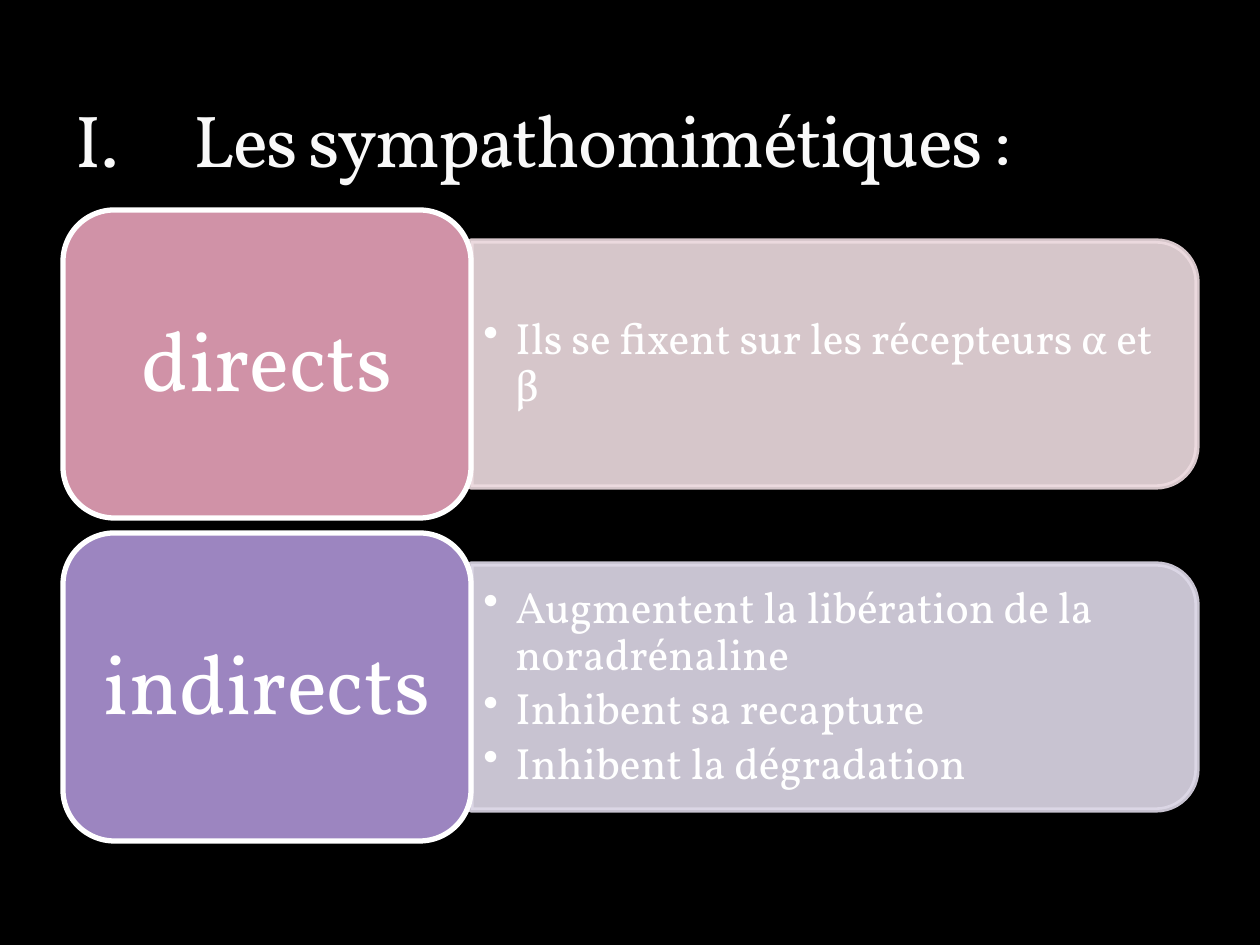
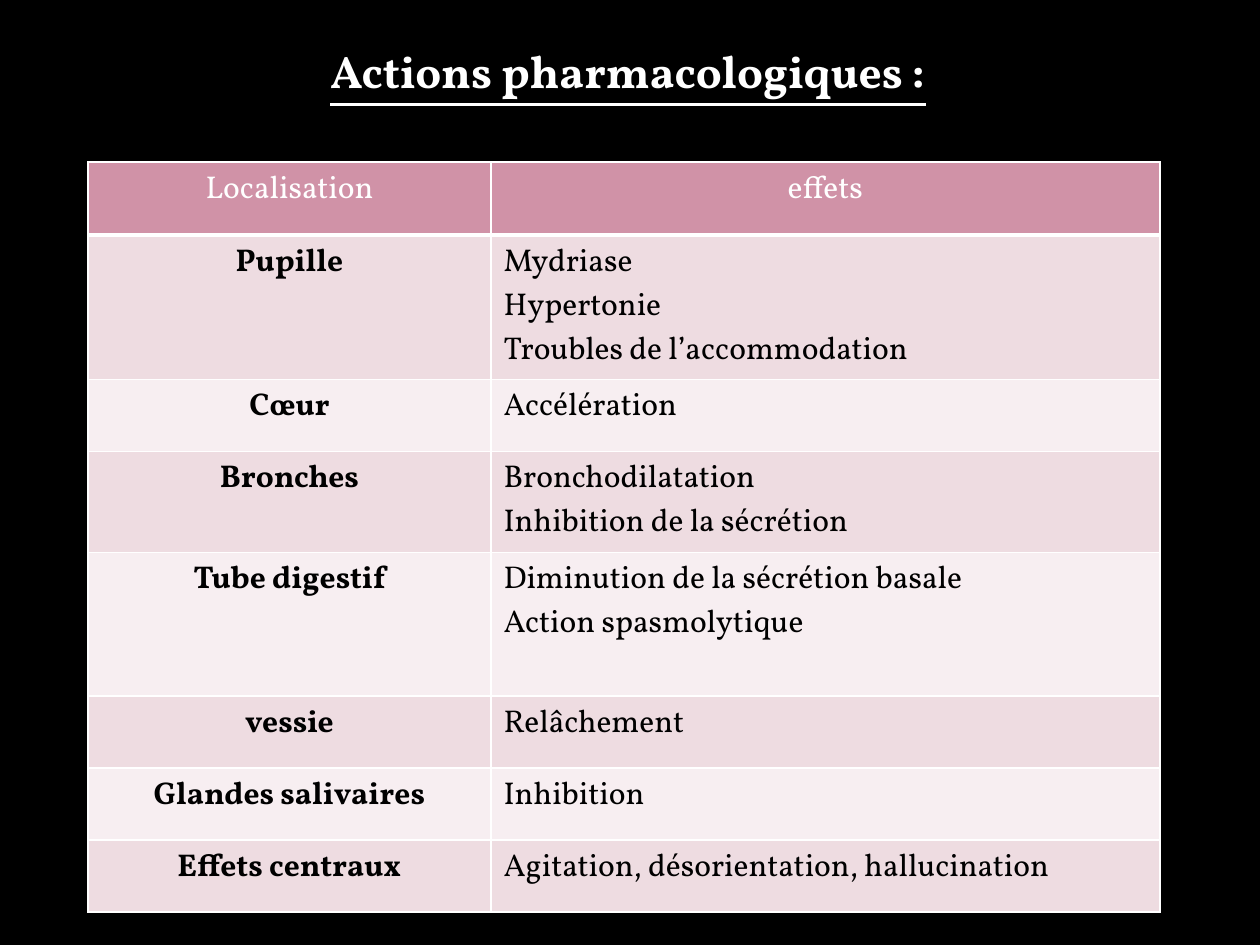
from lxml.etree import SubElement
from pptx import Presentation
from pptx.dml.color import RGBColor
from pptx.enum.shapes import MSO_SHAPE
from pptx.enum.text import MSO_ANCHOR, MSO_AUTO_SIZE, PP_ALIGN
from pptx.oxml.ns import qn
from pptx.util import Pt

EMU_PER_PX = 914400 // 126
FONT = "Vollkorn"
BLACK, WHITE, TITLE_WHITE = "000000", "FFFFFF", "F9F9F9"
ROSE, ROSE_LIGHT, ROSE_PALE = "D092A7", "EEDCE1", "F7EEF1"
VIOLET, VIOLET_LIGHT = "9C85C0", "DED9E8"

# Family name, strong colour, light colour, properties
FAMILIES = [
    ("directs", ROSE, ROSE_LIGHT, ["Ils se fixent sur les récepteurs α et β"]),
    ("indirects", VIOLET, VIOLET_LIGHT,
     ["Augmentent la libération de la noradrénaline",
      "Inhibent sa recapture", "Inhibent la dégradation"]),
]
# Location, effects, row height
EFFECTS = [
    ("Pupille", "Mydriase\nHypertonie\nTroubles de l’accommodation", 144),
    ("Cœur", "Accélération", 72),
    ("Bronches", "Bronchodilatation\nInhibition de la sécrétion", 101),
    ("Tube digestif", "Diminution de la sécrétion basale\nAction spasmolytique", 144),
    ("vessie", "Relâchement", 72),
    ("Glandes salivaires", "Inhibition", 72),
    ("Effets centraux", "Agitation, désorientation, hallucination", 72),
]


def px(*lengths):
    return [length * EMU_PER_PX for length in lengths]


def colour(value):
    return RGBColor.from_string(value)


def paint(fill, value, opacity=100):
    fill.solid()
    fill.fore_color.rgb = colour(value)
    if opacity < 100:
        for tint in fill._xPr.iter(qn("a:srgbClr")):
            SubElement(tint, qn("a:alpha"), val=str(opacity * 1000))


def write(frame, text, size, tint=WHITE, align=PP_ALIGN.LEFT, bold=False):
    frame.text = text
    for para in frame.paragraphs:
        para.alignment = align
        for span in para.runs:
            span.font.name = FONT
            span.font.size = Pt(size)
            span.font.bold = bold
            span.font.color.rgb = colour(tint)


def add_marker(para, hang, kind, **values):
    properties = para._p.get_or_add_pPr()
    properties.set("marL", str(hang * EMU_PER_PX))
    properties.set("indent", str(-hang * EMU_PER_PX))
    SubElement(properties, qn(kind), **values)


def add_page(deck, title, place, size, anchor, **style):
    page = deck.slides.add_slide(deck.slide_layouts[5])
    box = page.shapes.title
    box.left, box.top, box.width, box.height = px(*place)
    frame = box.text_frame
    frame.auto_size = MSO_AUTO_SIZE.NONE
    frame.vertical_anchor = anchor
    write(frame, title, size, **style)
    return page, frame.paragraphs[0]


def add_panel(page, kind, place, tint, line, opacity=100):
    panel = page.shapes.add_shape(kind, *px(*place))
    panel.shadow.inherit = False
    paint(panel.fill, tint, opacity)
    panel.line.width = Pt(3)
    paint(panel.line.fill, line, opacity)
    return panel


def add_family(page, middle, name, strong, light, properties):
    # Light panel, rounded on its right side by a quarter turn
    width, height = 246, 726
    panel = add_panel(page, MSO_SHAPE.ROUND_2_SAME_RECTANGLE,
                      (834 - width // 2, middle - height // 2, width, height),
                      light, light, 90)
    panel.rotation = 90

    # Bulleted properties
    box = page.shapes.add_textbox(*px(471, middle - 111, 713, 222))
    frame = box.text_frame
    frame.word_wrap = True
    frame.vertical_anchor = MSO_ANCHOR.MIDDLE
    write(frame, "\n".join(properties), 25)
    for para in frame.paragraphs:
        add_marker(para, 32, "a:buChar", char="•")
        para.line_spacing = 0.9
        para.space_after = Pt(4)

    # Name card
    card = add_panel(page, MSO_SHAPE.ROUNDED_RECTANGLE,
                     (63, middle - 154, 408, 308), strong, WHITE)
    frame = card.text_frame
    frame.vertical_anchor = MSO_ANCHOR.MIDDLE
    write(frame, name, 48, align=PP_ALIGN.CENTER)
    frame.paragraphs[0].line_spacing = 0.9


def add_borders(cell, bottom):
    properties = cell._tc.get_or_add_tcPr()
    for side, width in (("L", 1), ("R", 1), ("T", 1), ("B", bottom)):
        line = SubElement(properties, qn(f"a:ln{side}"), w=str(Pt(width)))
        fill = SubElement(line, qn("a:solidFill"))
        SubElement(fill, qn("a:srgbClr"), val=WHITE)


def fill_cell(cell, text, background, bottom=1, **style):
    add_borders(cell, bottom)
    paint(cell.fill, background)
    write(cell.text_frame, text, 18, **style)


def add_effects_table(page):
    widths = (403, 669)
    heights = [73] + [height for _, _, height in EFFECTS]
    table = page.shapes.add_table(len(heights), len(widths), *px(
        88, 162, sum(widths), sum(heights))).table
    for column, width in zip(table.columns, px(*widths)):
        column.width = width
    for row, height in zip(table.rows, px(*heights)):
        row.height = height

    for index, heading in enumerate(("Localisation", "effets")):
        fill_cell(table.cell(0, index), heading, ROSE, bottom=3,
                  align=PP_ALIGN.CENTER)
    for index, (location, effects, _) in enumerate(EFFECTS, 1):
        band = ROSE_LIGHT if index % 2 else ROSE_PALE
        fill_cell(table.cell(index, 0), location, band, tint=BLACK,
                  align=PP_ALIGN.CENTER, bold=True)
        fill_cell(table.cell(index, 1), effects, band, tint=BLACK)


def main():
    deck = Presentation()
    deck.slide_width, deck.slide_height = px(1260, 945)
    paint(deck.slide_master.background.fill, BLACK)

    # Families of sympathomimetics
    page, para = add_page(deck, "Les sympathomimétiques :", (63, 21, 1134, 168),
                          42, MSO_ANCHOR.BOTTOM, tint=TITLE_WHITE)
    add_marker(para, 118, "a:buAutoNum", type="romanUcPeriod")
    para.runs[0].font._element.set("spc", "-100")
    for index, family in enumerate(FAMILIES):
        add_family(page, 364 + 323 * index, *family)

    # Pharmacological actions
    page, para = add_page(deck, "Actions pharmacologiques :", (42, 37, 1172, 84),
                          26, MSO_ANCHOR.TOP, align=PP_ALIGN.CENTER, bold=True)
    para.runs[0].font.underline = True
    add_effects_table(page)

    deck.save("out.pptx")


if __name__ == "__main__":
    main()
